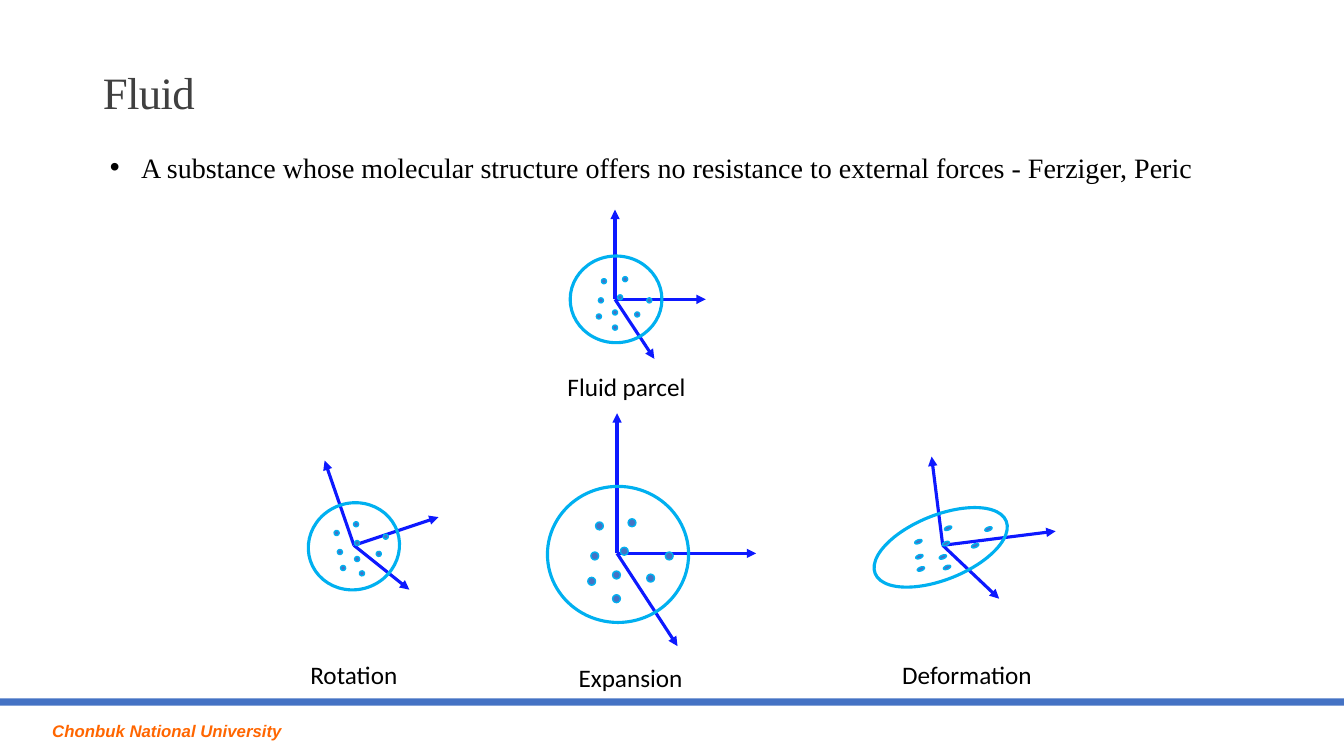
"""Build a slide showing how a fluid parcel rotates, expands and deforms."""
import math
from dataclasses import dataclass

import lxml.etree
import pptx
import pptx.dml.color
import pptx.enum.shapes
import pptx.enum.text
import pptx.oxml.ns
import pptx.shapes.autoshape
import pptx.shapes.base
import pptx.shapes.group
import pptx.slide
import pptx.text.text
import pptx.util

Inches = pptx.util.Inches
Point = tuple[float, float]


@dataclass(frozen=True)
class Theme:
    axis: str = "0D19FF"
    outline: str = "00B0F0"
    accent: str = "4472C4"
    title: str = "404040"
    text: str = "000000"
    footer: str = "FF6600"
    serif: str = "Times New Roman"
    label_font: str = "Calibri"
    footer_font: str = "Arial"
    title_size: float = 32
    body_size: float = 20
    label_size: float = 18
    footer_size: float = 12
    thick: float = 2.25
    thin: float = 1


@dataclass(frozen=True)
class Box:
    left: float
    top: float
    width: float
    height: float


@dataclass(frozen=True)
class Parcel:
    label: str
    label_box: Box
    center: Point
    size: Point
    origin: Point
    tips: tuple[Point, Point, Point]
    rotation: float = 0


THEME = Theme()
REST_SIZE = (0.91, 0.86)
MOLECULE_SIZE = 0.05
MOLECULES: tuple[Point, ...] = (
    (-0.12, -0.18), (0.04, -0.02), (0.21, 0.15), (-0.17, 0.17), (-0.15, 0.01),
    (0.09, -0.2), (-0.01, 0.13), (0.33, 0.01), (-0.01, 0.28),
)
PARCELS = (
    Parcel("Fluid parcel", Box(5.53, 3.63, 1.39, 0.4), (6.11, 2.97), REST_SIZE,
           (6.1, 2.97), ((7, 2.97), (6.1, 2.08), (6.49, 3.56))),
    Parcel("Rotation", Box(2.98, 6.49, 1.07, 0.4), (3.51, 5.42), REST_SIZE,
           (3.51, 5.41), ((4.35, 5.13), (3.22, 4.57), (4.06, 5.85)), -18.6),
    Parcel("Expansion", Box(5.64, 6.52, 1.24, 0.4), (6.13, 5.5), (1.4, 1.35),
           (6.12, 5.49), ((7.5, 5.49), (6.12, 4.1), (6.72, 6.41))),
    Parcel("Deformation", Box(8.85, 6.49, 1.5, 0.4), (9.33, 5.43), (1.4, 0.64),
           (9.35, 5.41), ((10.47, 5.27), (9.24, 4.53), (9.91, 5.94)), -21.8),
)


def color(value: str) -> pptx.dml.color.RGBColor:
    """Turn a hexadecimal string into a colour."""
    return pptx.dml.color.RGBColor.from_string(value)


def place(shape: pptx.shapes.base.BaseShape, box: Box) -> None:
    """Move and size a shape."""
    shape.left, shape.top = Inches(box.left), Inches(box.top)
    shape.width, shape.height = Inches(box.width), Inches(box.height)


def write_text(shape: pptx.shapes.base.BaseShape, text: str, *, font: str, size: float,
               fill: str, bold: bool = False, italic: bool = False, wrap: bool = True,
               grow: bool = True, bullet: bool = False, line_spacing: float = 1,
               anchor: pptx.enum.text.MSO_ANCHOR = pptx.enum.text.MSO_ANCHOR.TOP,
               ) -> pptx.text.text._Run:
    """Put one formatted paragraph in a shape and return its run."""
    frame = shape.text_frame
    frame.word_wrap = wrap
    frame.vertical_anchor = anchor
    auto_size = pptx.enum.text.MSO_AUTO_SIZE
    frame.auto_size = auto_size.SHAPE_TO_FIT_TEXT if grow else auto_size.NONE
    paragraph = frame.paragraphs[0]
    paragraph.alignment = pptx.enum.text.PP_ALIGN.LEFT
    paragraph.space_before = pptx.util.Pt(0)
    paragraph.line_spacing = line_spacing
    if bullet:
        properties = paragraph._p.get_or_add_pPr()
        properties.set("marL", str(Inches(0.31)))
        properties.set("indent", str(Inches(-0.31)))
        marker_font = lxml.etree.SubElement(properties, pptx.oxml.ns.qn("a:buFont"))
        marker_font.set("typeface", "Arial")
        lxml.etree.SubElement(properties, pptx.oxml.ns.qn("a:buChar")).set("char", "•")
    run = paragraph.add_run()
    run.text = text
    run.font.name, run.font.size = font, pptx.util.Pt(size)
    run.font.bold, run.font.italic = bold, italic
    run.font.color.rgb = color(fill)
    return run


def add_text_box(slide: pptx.slide.Slide, box: Box) -> pptx.shapes.autoshape.Shape:
    """Add an empty text box."""
    return slide.shapes.add_textbox(Inches(box.left), Inches(box.top),
                                    Inches(box.width), Inches(box.height))


def add_axis(group: pptx.shapes.group.GroupShape, start: Point, end: Point) -> None:
    """Draw an axis arrow."""
    connector = group.shapes.add_connector(
        pptx.enum.shapes.MSO_CONNECTOR.STRAIGHT, *map(Inches, (*start, *end)))
    connector.line.color.rgb = color(THEME.axis)
    connector.line.width = pptx.util.Pt(THEME.thick)
    line = connector.line._get_or_add_ln()
    lxml.etree.SubElement(line, pptx.oxml.ns.qn("a:tailEnd")).set("type", "triangle")
    lxml.etree.SubElement(connector._element.spPr, pptx.oxml.ns.qn("a:effectLst"))


def add_ellipse(group: pptx.shapes.group.GroupShape, center: Point, size: Point,
                rotation: float, weight: float, fill: str | None = None) -> None:
    """Draw an ellipse around a centre."""
    left, top = (middle - extent / 2 for middle, extent in zip(center, size))
    ellipse = group.shapes.add_shape(pptx.enum.shapes.MSO_SHAPE.OVAL,
                                     *map(Inches, (left, top, *size)))
    ellipse.rotation = rotation
    ellipse.shadow.inherit = False
    ellipse.line.color.rgb = color(THEME.outline)
    ellipse.line.width = pptx.util.Pt(weight)
    if fill is None:
        ellipse.fill.background()
    else:
        ellipse.fill.solid()
        ellipse.fill.fore_color.rgb = color(fill)


def add_parcel(slide: pptx.slide.Slide, parcel: Parcel) -> None:
    """Draw a parcel with its axes, outline, molecules and label."""
    group = slide.shapes.add_group_shape()
    for tip in parcel.tips:
        add_axis(group, parcel.origin, tip)
    add_ellipse(group, parcel.center, parcel.size, parcel.rotation, THEME.thick)
    stretch_x, stretch_y = (now / rest for now, rest in zip(parcel.size, REST_SIZE))
    angle = math.radians(parcel.rotation)
    cosine, sine = math.cos(angle), math.sin(angle)
    for offset_x, offset_y in MOLECULES:
        x, y = offset_x * stretch_x, offset_y * stretch_y
        center = (parcel.center[0] + x * cosine - y * sine,
                  parcel.center[1] + x * sine + y * cosine)
        size = (MOLECULE_SIZE * stretch_x, MOLECULE_SIZE * stretch_y)
        add_ellipse(group, center, size, parcel.rotation, THEME.thin, THEME.accent)
    write_text(add_text_box(slide, parcel.label_box), parcel.label, font=THEME.label_font,
               size=THEME.label_size, fill=THEME.text, wrap=False)


def add_footer(slide: pptx.slide.Slide) -> None:
    """Draw the footer bar and the university name."""
    bar = slide.shapes.add_shape(pptx.enum.shapes.MSO_SHAPE.RECTANGLE,
                                 *map(Inches, (0, 6.93, 13.33, 0.07)))
    bar.shadow.inherit = False
    bar.fill.solid()
    bar.fill.fore_color.rgb = color(THEME.accent)
    bar.line.fill.background()
    write_text(add_text_box(slide, Box(0.42, 7.1, 3.17, 0.3)), "Chonbuk National University",
               font=THEME.footer_font, size=THEME.footer_size, fill=THEME.footer,
               bold=True, italic=True)


def main() -> None:
    """Build and save the presentation."""
    presentation = pptx.Presentation()
    presentation.slide_width, presentation.slide_height = Inches(13.33), Inches(7.5)
    slide = presentation.slides.add_slide(presentation.slide_layouts[1])
    title, body = slide.shapes.title, slide.placeholders[1]
    place(title, Box(0.92, 0.4, 11.5, 0.83))
    run = write_text(title, "Fluid", font=THEME.serif, size=THEME.title_size,
                     fill=THEME.title, grow=False, line_spacing=0.85,
                     anchor=pptx.enum.text.MSO_ANCHOR.BOTTOM)
    run.font._element.set("spc", "-50")
    place(body, Box(0.99, 1.44, 11.35, 0.44))
    write_text(body, "A substance whose molecular structure offers no resistance to "
               "external forces - Ferziger, Peric", font=THEME.serif,
               size=THEME.body_size, fill=THEME.text, bullet=True)
    add_footer(slide)
    for parcel in PARCELS:
        add_parcel(slide, parcel)
    presentation.save("out.pptx")


if __name__ == "__main__":
    main()
